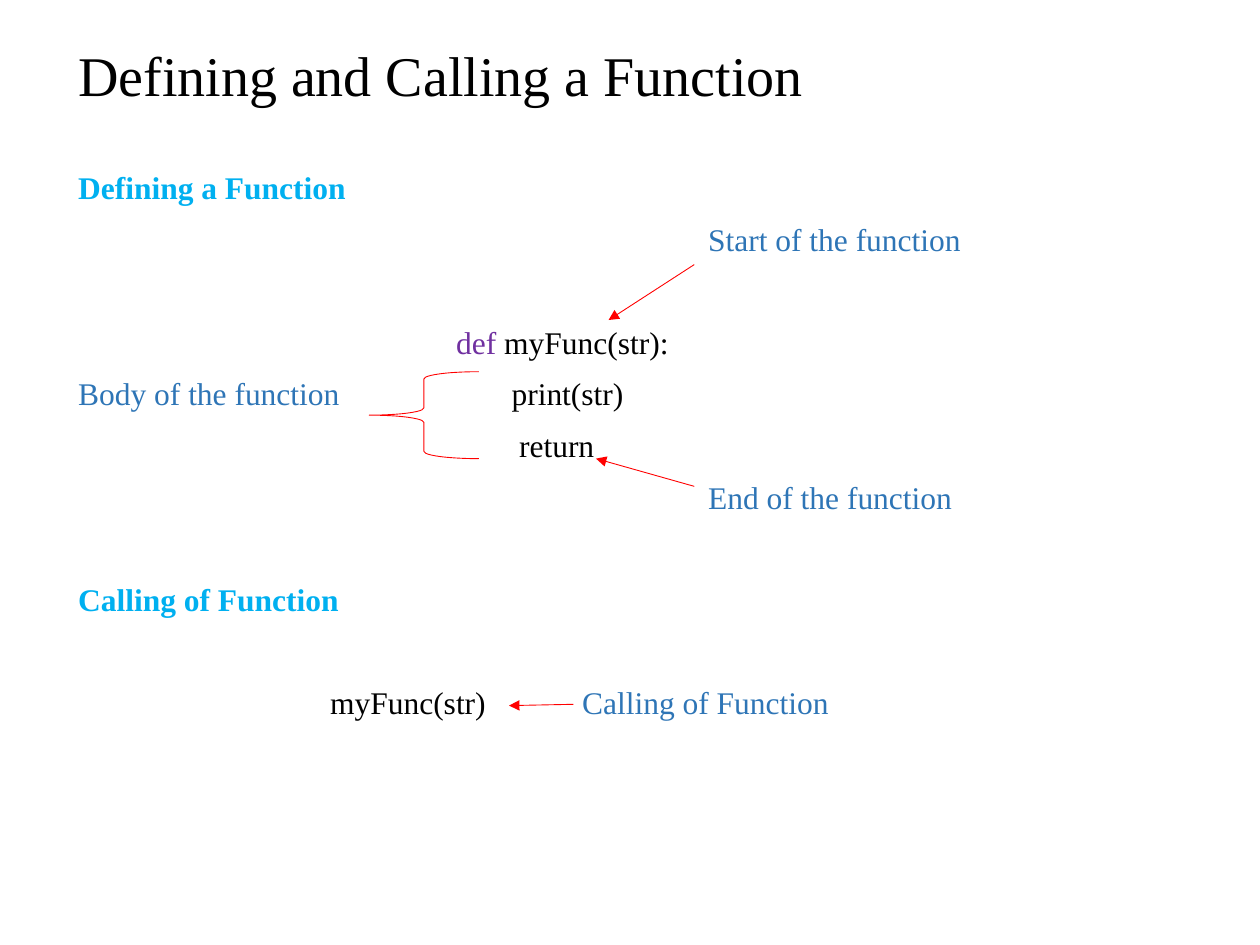
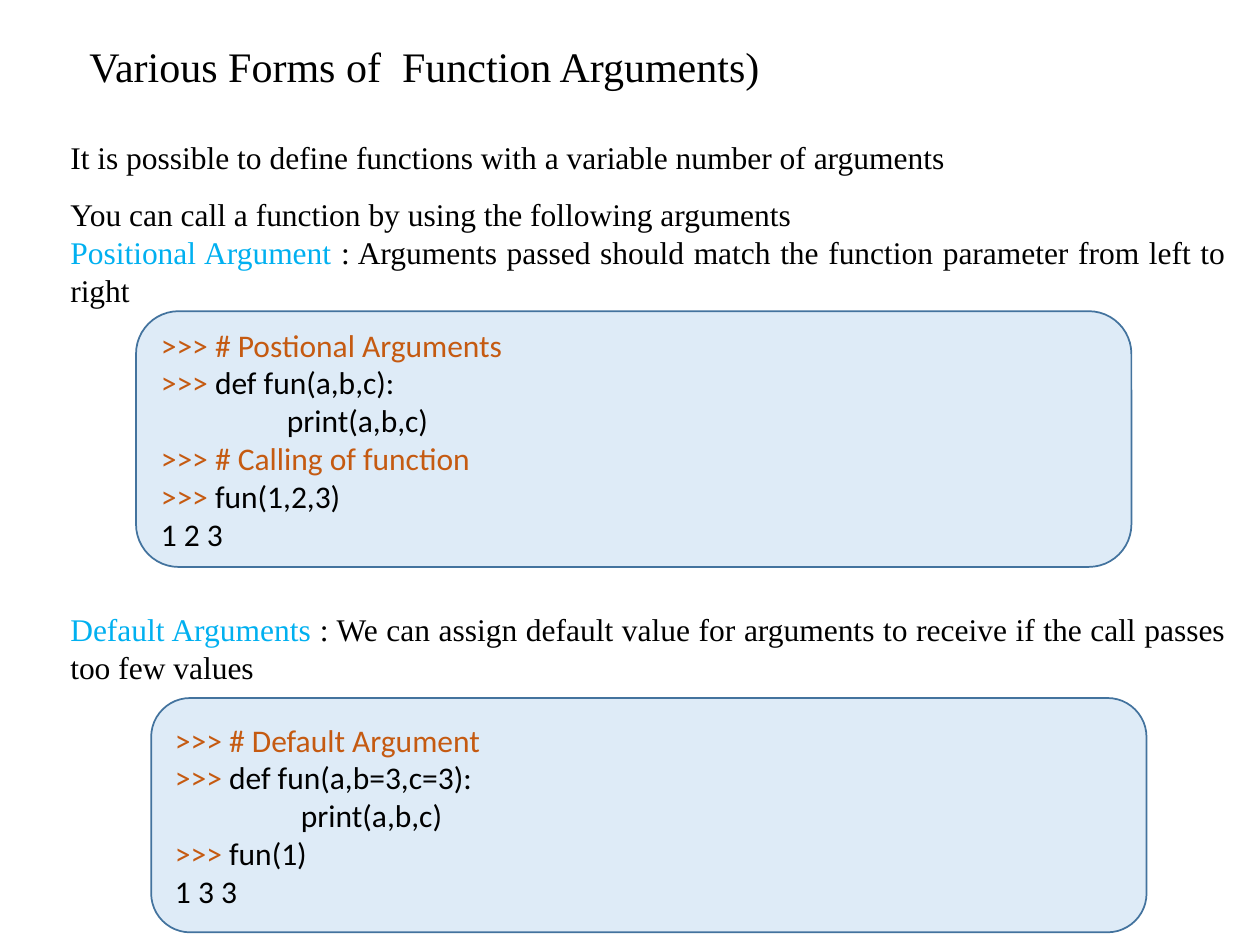
from lxml import etree
from pptx import Presentation
from pptx.dml.color import RGBColor
from pptx.enum.shapes import MSO_CONNECTOR, MSO_SHAPE
from pptx.enum.text import MSO_ANCHOR, MSO_AUTO_SIZE, PP_ALIGN
from pptx.oxml.ns import qn
from pptx.util import Inches, Pt

LEFT, JUSTIFY = PP_ALIGN.LEFT, PP_ALIGN.JUSTIFY
MIDDLE = MSO_ANCHOR.MIDDLE
NO_AUTOFIT = MSO_AUTO_SIZE.NONE
STRAIGHT = MSO_CONNECTOR.STRAIGHT
LEFT_BRACE, ROUNDED = MSO_SHAPE.LEFT_BRACE, MSO_SHAPE.ROUNDED_RECTANGLE
TITLE_AND_CONTENT, TITLE_ONLY = 1, 5

COLORS = {
    "text": "000000", "heading": "00B0F0", "note": "2E75B6",
    "keyword": "7030A0", "mark": "FF0000", "prompt": "C55A11",
    "panel": "DEEBF7", "panel_edge": "43739E",
}
SERIF, SANS = "Times New Roman", "Calibri"
TEXT_SIZE = 18
LINE_GAP = 10       # points before each line of the walkthrough
LINE_PITCH = 29.4   # points from one walkthrough line to the next
CODE_INDENT = 1     # inches

# Slide 1: (empty lines above, indent and tab width in inches, runs of (text, colour))
WALKTHROUGH_TITLE = "Defining and Calling a Function"
WALKTHROUGH = [
    (0, 0, 1, [("Defining a Function", "heading")]),
    (0, 5, 1, [("Start of the function", "note")]),
    (1, 3, 1, [("def ", "keyword"), ("myFunc(str):", "text")]),
    (0, 0, 3.44, [("Body of the function", "note"), ("\tprint(str)", "text")]),
    (0, 3.5, 1, [("return", "text")]),
    (0, 5, 1, [("End of the function", "note")]),
    (1, 0, 1, [("Calling of Function", "heading")]),
    (1, 2, 2, [("myFunc(str)", "text"), ("\tCalling of Function", "note")]),
]
BODY_BRACE = (2.93, 2.95, 0.87, 0.69)
NOTE_ARROWS = [
    ((5.51, 2.1), (4.83, 2.54)),
    ((5.51, 3.86), (4.73, 3.64)),
    ((4.55, 5.59), (4.04, 5.6)),
]

# Slide 2: explanations as (line spacing, points above, runs)
ARGUMENTS_TITLE = "Various Forms of  Function Arguments)"
EXPLANATIONS = [
    (1.5, 0, [("It is possible to define functions with a variable number of arguments",
               "text")]),
    (1.5, 0, [("You can call a function by using the following arguments", "text")]),
    (1.0, 0, [("Positional Argument ", "heading"),
              (": Arguments passed should match the function parameter "
               "from left to right", "text")]),
    (1.0, 172.5, [("Default Arguments ", "heading"),
                  (": We can assign default value for arguments to receive "
                   "if the call passes too few values", "text")]),
]
# Console panels: position, then lines of (indent, prompt part, code part)
CONSOLES = [
    ((1.08, 2.47, 7.9, 2.03), [
        (0, ">>> # Postional Arguments", ""),
        (0, ">>> ", "def fun(a,b,c):"),
        (CODE_INDENT, "", "print(a,b,c)"),
        (0, ">>> # Calling of function", ""),
        (0, ">>>", " fun(1,2,3)"),
        (0, "", "1 2 3"),
    ]),
    ((1.2, 5.54, 7.9, 1.86), [
        (0, ">>> # Default Argument", ""),
        (0, ">>> ", "def fun(a,b=3,c=3):"),
        (CODE_INDENT, "", "print(a,b,c)"),
        (0, ">>> ", "fun(1)"),
        (0, "", "1 3 3"),
    ]),
]


def rgb(key):
    return RGBColor.from_string(COLORS[key])


def box(position):
    return [Inches(length) for length in position]


def place(shape, position):
    shape.left, shape.top, shape.width, shape.height = box(position)


def style_run(run, color, font=SERIF, size=TEXT_SIZE):
    run.font.name = font
    run.font.size = Pt(size)
    run.font.bold = False
    run.font.color.rgb = rgb(color)


def fill_paragraph(paragraph, runs, font=SERIF, align=LEFT):
    paragraph.alignment = align
    for text, color in runs:
        run = paragraph.add_run()
        run.text = text
        style_run(run, color, font)


def paragraphs(frame, count):
    """Return the given number of paragraphs in the frame."""
    return [frame.paragraphs[0]] + [frame.add_paragraph() for _ in range(count - 1)]


def set_indent(paragraph, indent, tab_width=1):
    """Remove the bullet and set the left indent and tab width in inches."""
    properties = paragraph._p.get_or_add_pPr()
    properties.set("marL", str(Inches(indent)))
    properties.set("indent", "0")
    properties.set("defTabSz", str(Inches(tab_width)))
    etree.SubElement(properties, qn("a:buNone"))


def add_titled_slide(prs, layout, title, left, top, size):
    slide = prs.slides.add_slide(prs.slide_layouts[layout])
    heading = slide.shapes.title
    place(heading, (left, top, 8.07, 0.42))
    frame = heading.text_frame
    frame.text = title
    frame.auto_size = NO_AUTOFIT
    frame.vertical_anchor = MIDDLE
    paragraph = frame.paragraphs[0]
    paragraph.alignment = LEFT
    paragraph.line_spacing = 0.9
    style_run(paragraph.runs[0], "text", size=size)
    return slide


def add_arrow(slide, start, end):
    arrow = slide.shapes.add_connector(STRAIGHT, *box(start + end))
    arrow.line.color.rgb = rgb("mark")
    arrow.line.width = Pt(0.5)
    etree.SubElement(arrow.line._get_or_add_ln(), qn("a:tailEnd"), type="triangle")
    etree.SubElement(arrow._element.spPr, qn("a:effectLst"))


def add_console(slide, position, lines):
    panel = slide.shapes.add_shape(ROUNDED, *box(position))
    panel.shadow.inherit = False
    panel.fill.solid()
    panel.fill.fore_color.rgb = rgb("panel")
    panel.line.color.rgb = rgb("panel_edge")
    panel.line.width = Pt(1)
    frame = panel.text_frame
    frame.word_wrap = True
    frame.vertical_anchor = MIDDLE
    for paragraph, (indent, prompt, code) in zip(paragraphs(frame, len(lines)), lines):
        parts = [(prompt, "prompt"), (code, "text")]
        fill_paragraph(paragraph, [part for part in parts if part[0]], SANS)
        set_indent(paragraph, indent)


def build_walkthrough(prs):
    slide = add_titled_slide(prs, TITLE_AND_CONTENT, WALKTHROUGH_TITLE, 0.52, 0.41, 32)

    # Code with its notes
    body = slide.placeholders[1]
    place(body, (0.52, 1.32, 8.62, 5.66))
    frame = body.text_frame
    frame.auto_size = NO_AUTOFIT
    for paragraph, (empty, indent, tab_width, runs) in zip(
            paragraphs(frame, len(WALKTHROUGH)), WALKTHROUGH):
        fill_paragraph(paragraph, runs)
        paragraph.line_spacing = 0.9
        paragraph.space_before = Pt(LINE_GAP + empty * LINE_PITCH)
        set_indent(paragraph, indent, tab_width)
        for run, (_, color) in zip(paragraph.runs, runs):
            run.font.bold = color == "heading"

    # Brace and arrows
    brace = slide.shapes.add_shape(LEFT_BRACE, *box(BODY_BRACE))
    brace.shadow.inherit = False
    brace.fill.background()
    brace.line.color.rgb = rgb("mark")
    brace.line.width = Pt(0.5)
    for start, end in NOTE_ARROWS:
        add_arrow(slide, start, end)


def build_arguments(prs):
    slide = add_titled_slide(prs, TITLE_ONLY, ARGUMENTS_TITLE, 0.61, 0.34, 24)

    # Explanations
    frame = slide.shapes.add_textbox(*box((0.46, 0.9, 9.37, 4.64))).text_frame
    frame.word_wrap = True
    for paragraph, (spacing, above, runs) in zip(
            paragraphs(frame, len(EXPLANATIONS)), EXPLANATIONS):
        fill_paragraph(paragraph, runs, align=JUSTIFY)
        paragraph.line_spacing = spacing
        paragraph.space_before = Pt(above)

    # Console panels
    for position, lines in CONSOLES:
        add_console(slide, position, lines)


def main():
    prs = Presentation()
    prs.slide_width, prs.slide_height = Inches(10), Inches(7.5)
    build_walkthrough(prs)
    build_arguments(prs)
    prs.save("out.pptx")


if __name__ == "__main__":
    main()
